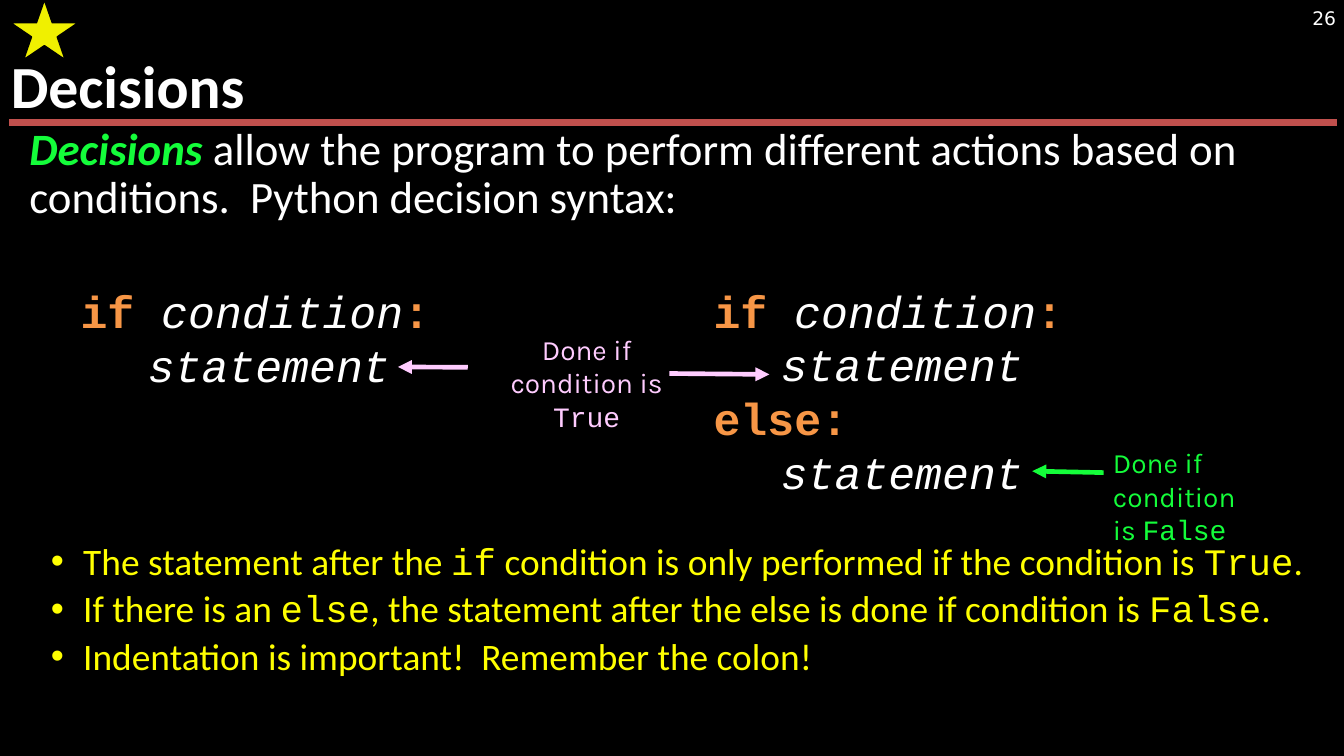
from lxml.etree import SubElement
from pptx import Presentation
from pptx.dml.color import RGBColor
from pptx.enum.shapes import MSO_CONNECTOR, MSO_SHAPE
from pptx.enum.text import MSO_ANCHOR, PP_ALIGN
from pptx.oxml.ns import qn
from pptx.util import Pt

WHITE, YELLOW, GREEN = "FFFFFF", "FFFF00", "14FD3A"
ORANGE, PINK, RED = "F79646", "FFCCFF", "C0504D"
SANS, MONO, NOTE = "Calibri", "Courier New", "Karla"


def rgb(color):
    return RGBColor.from_string(color)


def add_text(slide, box, paragraphs, size, font, color, inset=3.6):
    """Each paragraph is a list of (text, overrides of font attributes)."""
    frame = slide.shapes.add_textbox(*map(Pt, box)).text_frame
    frame.word_wrap = True
    frame.margin_left = frame.margin_right = Pt(inset)
    frame.margin_top = frame.margin_bottom = Pt(inset)
    for index, pieces in enumerate(paragraphs):
        paragraph = frame.add_paragraph() if index else frame.paragraphs[0]
        paragraph.font.size = Pt(size)
        paragraph.font.name = font
        paragraph.font.color.rgb = rgb(color)
        for text, style in pieces:
            run = paragraph.add_run()
            run.text = text
            for key, value in style.items():
                if key == "color":
                    run.font.color.rgb = rgb(value)
                else:
                    setattr(run.font, key, value)
    return frame


def indent(paragraph, left, first=0):
    properties = paragraph._p.get_or_add_pPr()
    properties.set("marL", str(Pt(left)))
    properties.set("indent", str(Pt(first)))
    return properties


def add_line(slide, start, end, color, width, arrow=False):
    line = slide.shapes.add_connector(
        MSO_CONNECTOR.STRAIGHT, *map(Pt, (*start, *end)))
    line.line.color.rgb = rgb(color)
    line.line.width = Pt(width)
    if arrow:
        SubElement(line.line._get_or_add_ln(), qn("a:tailEnd"), type="triangle")
    SubElement(line._element.spPr, qn("a:effectLst"))


def add_header(slide, left, top, width, height):
    add_line(slide, (left - 0.8, top + height + 0.7),
             (left + width + 2.8, top + height + 0.7), RED, 3.75)
    number = add_text(slide, (left + width - 15.2, top, 20.9, 19.4),
                      [[("26", {})]], 10, "DejaVu Sans", WHITE)
    number.paragraphs[0].alignment = PP_ALIGN.RIGHT
    title = add_text(slide, (left, top, width, height),
                     [[("Decisions", {"bold": True})]], 32, SANS, WHITE, 0)
    title.vertical_anchor = MSO_ANCHOR.BOTTOM
    title.paragraphs[0].line_spacing = 0.89
    star = slide.shapes.add_shape(
        MSO_SHAPE.STAR_5_POINT, Pt(left), Pt(top), Pt(36), Pt(32))
    star.shadow.inherit = False
    star.fill.solid()
    star.fill.fore_color.rgb = rgb("F0F000")
    star.line.color.rgb = rgb("000000")
    star.line.width = Pt(0.75)


def add_intro(slide, left, top, width, height):
    intro = add_text(slide, (left, top, width, height), [[
        ("Decisions", {"bold": True, "italic": True, "color": GREEN}),
        (" allow the program to perform different actions based on "
         "conditions.  Python decision syntax:", {}),
    ]], 24, SANS, WHITE)
    intro.paragraphs[0].line_spacing = 0.89
    indent(intro.paragraphs[0], 7.2)


def add_code(slide, left, top, width, height, has_else):
    keyword = {"bold": True, "color": ORANGE}
    italic = {"italic": True}
    statement = [("statement", italic)]
    lines = [[("if ", keyword), ("condition", italic), (":", keyword)], statement]
    if has_else:
        lines += [[("else:", keyword)], statement]
    code = add_text(slide, (left, top, width, height), lines, 24, MONO, WHITE)
    for paragraph in code.paragraphs[1::2]:
        indent(paragraph, 36)


def add_true_note(slide, left, top, width, height):
    note = add_text(slide, (left, top, width, height), [[
        ("Done if condition is ", {}), ("True", {"name": MONO}),
    ]], 15, NOTE, PINK)
    note.paragraphs[0].alignment = PP_ALIGN.CENTER
    add_line(slide, (left - 3.6, top + 22.4), (left - 41, top + 22.2), PINK, 2.5, True)
    add_line(slide, (left + 104.4, top + 25.7), (left + 158, top + 26.2),
             PINK, 2.5, True)


def add_false_note(slide, left, top, width, height):
    add_text(slide, (left, top, width, height), [
        [("Done if condition", {})],
        [("is ", {}), ("False", {"name": MONO})],
    ], 15, NOTE, GREEN)
    add_line(slide, (left - 1.4, top + 18), (left - 39.6, top + 17.2), GREEN, 2.5, True)


def add_rules(slide, left, top, width, height):
    mono = {"name": MONO}
    rules = add_text(slide, (left, top, width, height), [
        [("The statement after the ", {}), ("if", mono),
         (" condition is only performed if the condition is ", {}),
         ("True", mono), (".", {})],
        [("If there is an ", {}), ("else", mono),
         (", the statement after the else is done if condition is ", {}),
         ("False", mono), (".", {})],
        [("Indentation is important!  Remember the colon!", {})],
    ], 20, SANS, YELLOW)
    for index, paragraph in enumerate(rules.paragraphs):
        paragraph.line_spacing = 0.89
        paragraph.space_before = Pt(4 if index else 0)
        properties = indent(paragraph, 36, -17.3)
        bullet_font = properties.makeelement(qn("a:buFont"), {"typeface": "Arial"})
        bullet = properties.makeelement(qn("a:buChar"), {"char": "•"})
        properties.find(qn("a:defRPr")).addprevious(bullet_font)
        bullet_font.addnext(bullet)


def main():
    deck = Presentation()
    deck.slide_width, deck.slide_height = Pt(720), Pt(405)
    slide = deck.slides.add_slide(deck.slide_layouts[6])
    slide.background.fill.solid()
    slide.background.fill.fore_color.rgb = rgb("000000")

    add_header(slide, 5.8, 0, 707.8, 64.8)
    add_intro(slide, 5, 64.8, 711.4, 62)
    add_code(slide, 39.6, 148.3, 221, 61.2, has_else=False)
    add_code(slide, 378.7, 148.3, 221, 115.2, has_else=True)
    add_true_note(slide, 254.2, 174.4, 120.2, 44.6)
    add_false_note(slide, 592.6, 235.2, 120.2, 44.6)
    add_rules(slide, 5, 287.7, 711.4, 80)
    deck.save("out.pptx")


if __name__ == "__main__":
    main()
